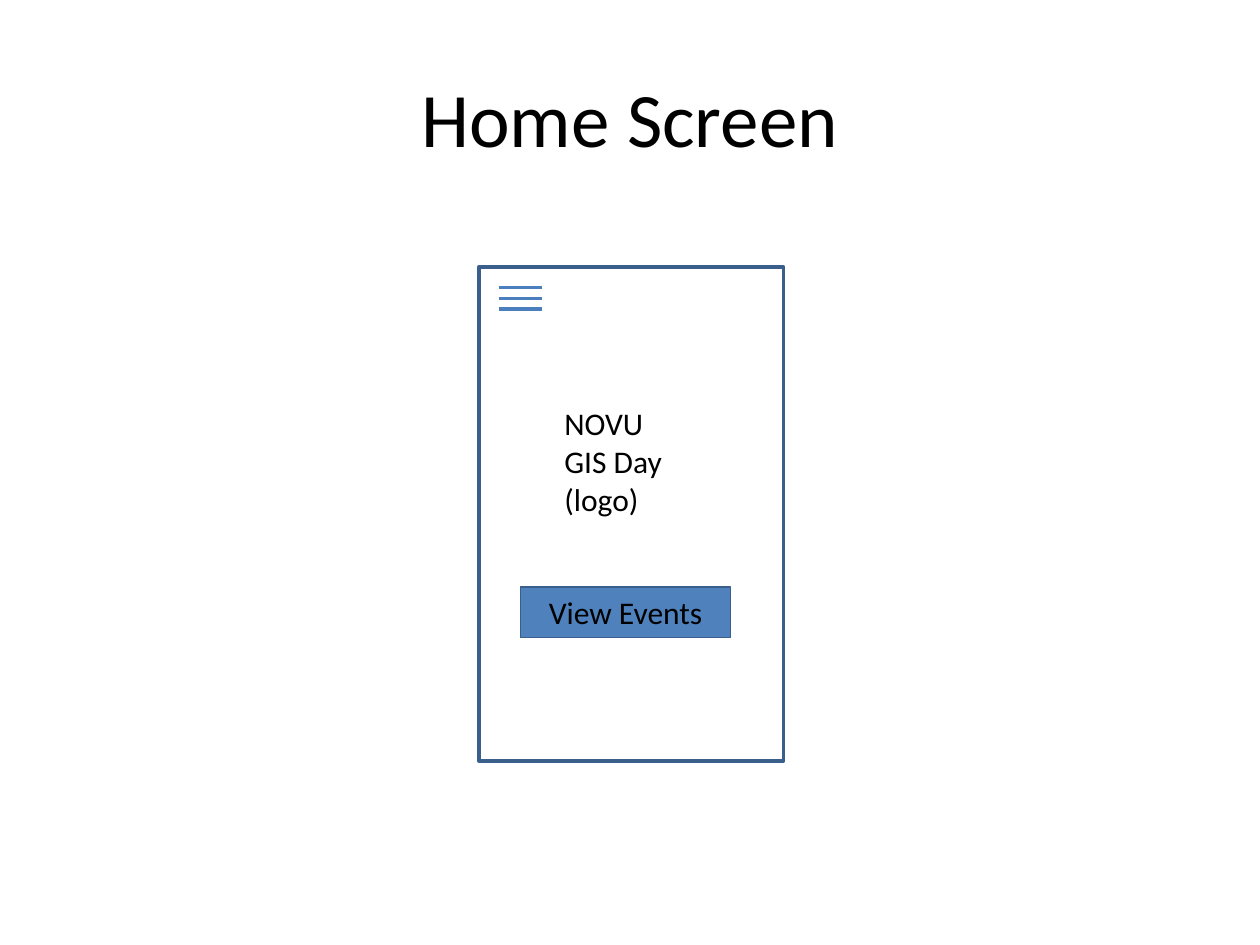
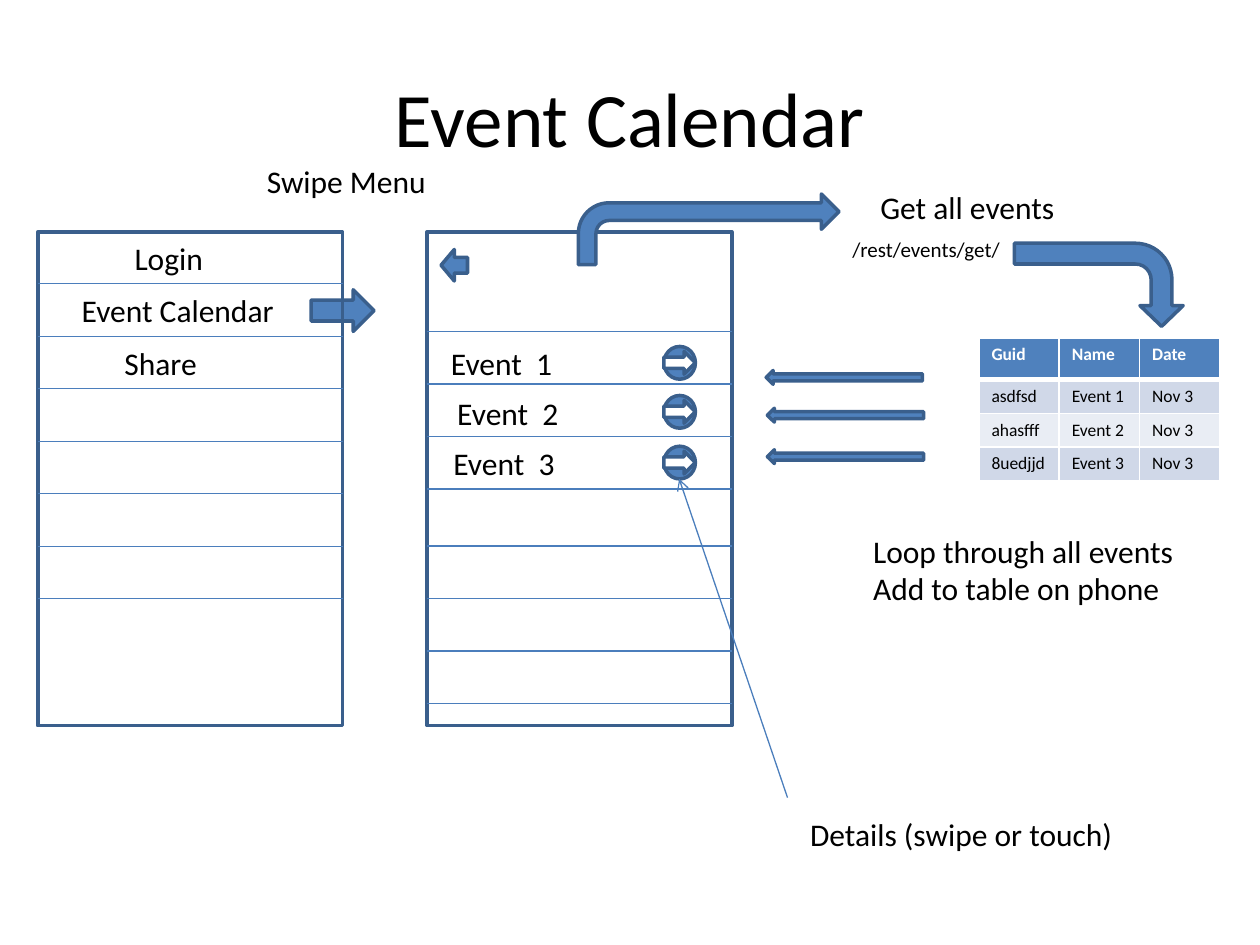
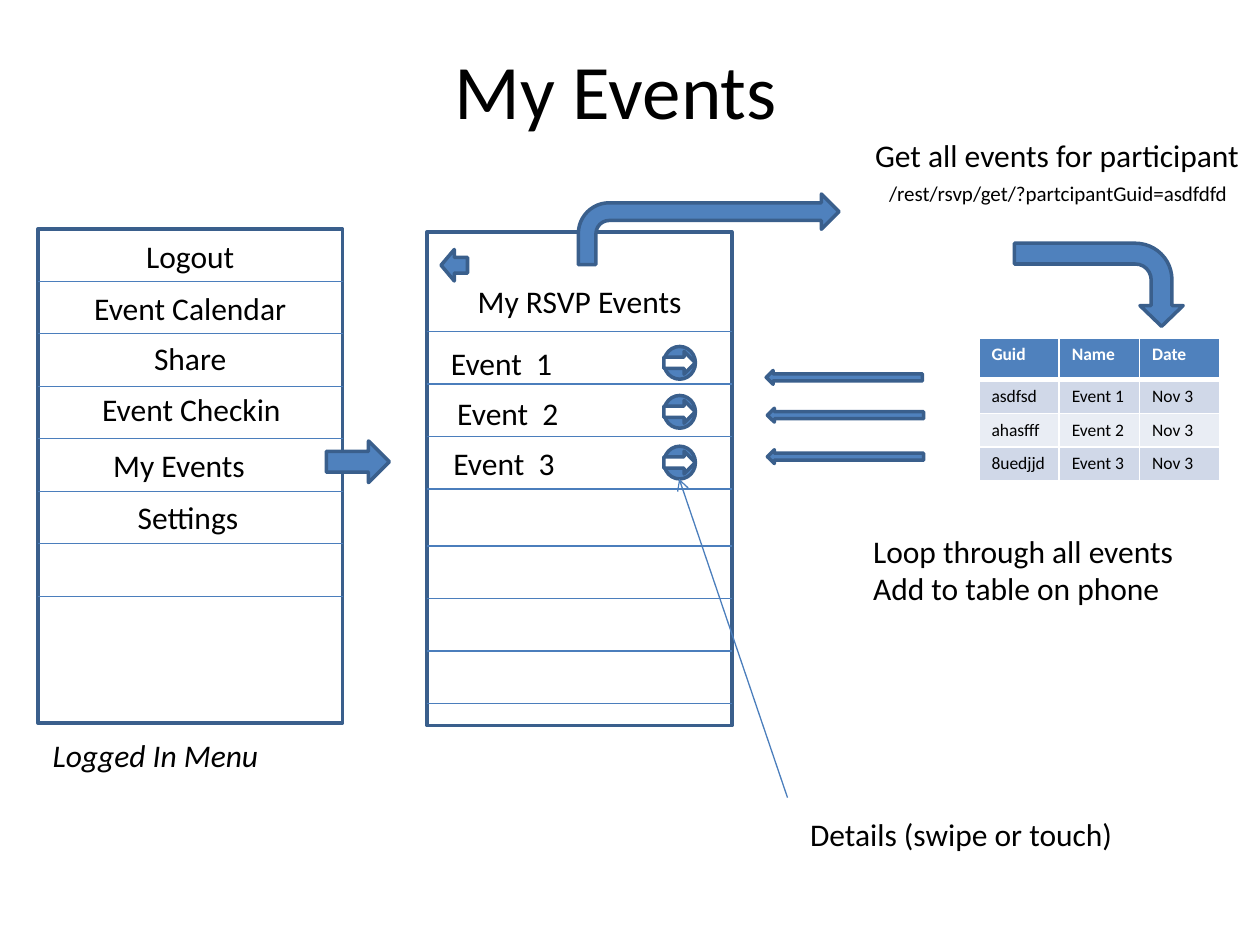
from dataclasses import dataclass

from lxml import etree
from pptx import Presentation
from pptx.dml.color import RGBColor
from pptx.enum import shapes, text
from pptx.oxml import ns
from pptx.util import Pt


@dataclass(frozen=True)
class Theme:
    font: str = "Calibri"
    title: float = 44
    body: float = 18
    address: float = 12
    cell: float = 10
    black: str = "000000"
    white: str = "FFFFFF"
    blue: str = "4F81BD"
    outline: str = "3A5F8C"
    rule: str = "4B7EBC"
    bands: tuple = ("D0D8E8", "E9EDF4")
    thin: float = 0.75
    thick: float = 2


theme = Theme()
preset = shapes.MSO_SHAPE
center = text.PP_ALIGN.CENTER
phone_width, phone_height = 174.2, 282.2
row_height = 30
label_height = 29


def add_shape(slide, kind, box, fill=None, width=theme.thick, rotation=0):
    shape = slide.shapes.add_shape(kind, *map(Pt, box))
    shape.shadow.inherit = False
    shape.rotation = rotation
    if fill:
        shape.fill.solid()
        shape.fill.fore_color.rgb = RGBColor.from_string(fill)
    else:
        shape.fill.background()
    shape.line.color.rgb = RGBColor.from_string(theme.outline)
    shape.line.width = Pt(width)
    return shape


def add_text(slide, words, box, size=theme.body, align=None, wrap=True, italic=None):
    shape = slide.shapes.add_textbox(*map(Pt, box))
    frame = shape.text_frame
    frame.word_wrap = wrap
    frame.text = words
    for paragraph in frame.paragraphs:
        paragraph.alignment = align
        for run in paragraph.runs:
            run.font.name = theme.font
            run.font.size = Pt(size)
            run.font.italic = italic
            run.font.color.rgb = RGBColor.from_string(theme.black)
    return shape


presentation = Presentation()
presentation.slide_width, presentation.slide_height = Pt(720), Pt(540)

# Slides and their titles
slides = []
for words, left, top in [("Home Screen", 36, 21.6), ("Event Calendar", 36, 21.6),
                         ("My Events", 28, 5.8)]:
    slide = presentation.slides.add_slide(presentation.slide_layouts[6])
    title = add_text(slide, words, (left, top, 648, 90), theme.title, center)
    title.text_frame.vertical_anchor = text.MSO_ANCHOR.MIDDLE
    slides.append(slide)
home, calendar, my_events = slides

# Straight lines are gathered here: slide, start, end, width, arrowhead
lines = []

# Home screen: phone, menu icon, logo text and button
add_shape(home, preset.RECTANGLE, (273.6, 152.6, phone_width, phone_height))
for i in range(3):
    y = 164.4 + 6.1 * i
    lines.append((home, (285.1, y), (309.6, y), theme.thick, False))
add_text(home, "NOVU\vGIS Day\n(logo)", (315.4, 227.5, 102.2, 72.7))
add_shape(home, preset.RECTANGLE, (297.4, 335.5, 120.2, label_height),
          theme.blue, theme.thin)
add_text(home, "View Events", (297.4, 335.5, 120.2, label_height), align=center)

# Menu phones
menu_left = 21.6
add_shape(calendar, preset.RIGHT_ARROW, (177.8, 165.6, 36, 23.8), theme.blue)
for slide, top in [(calendar, 132.5), (my_events, 131)]:
    add_shape(slide, preset.RECTANGLE, (menu_left, top, phone_width, phone_height))
    for i in range(7):
        y = top + 29.7 + row_height * i
        lines.append((slide, (menu_left, y), (menu_left + phone_width, y),
                      theme.thin, False))
add_shape(my_events, preset.RIGHT_ARROW, (186.5, 252, 36, 23.8), theme.blue)

# Menu entries: left edge, top, width, alignment
for slide, words, left, top, width, align in [
    (calendar, "Login", 69.8, 133.2, 90, None),
    (calendar, "Event Calendar", 39.6, 162.9, 138, None),
    (calendar, "Share", 64, 193, 90, None),
    (my_events, "Logout", 23, 131.8, 171.4, center),
    (my_events, "Event Calendar", 23, 161.5, 171.4, center),
    (my_events, "Share", 23, 190.1, 171.4, center),
    (my_events, "Event Checkin", 23, 219.2, 172.8, center),
    (my_events, "My Events", 57.6, 251.3, 90, None),
    (my_events, "Settings", 21, 280.8, 172.8, center),
    (my_events, "My RSVP Events", 244.8, 157.7, 172.8, center),
]:
    add_text(slide, words, (left, top, width, label_height), align=align)

# Captions that belong to one slide
for slide, words, left, top, width, size, italic in [
    (calendar, "Swipe Menu", 145.4, 89.3, 106.6, theme.body, None),
    (calendar, "Get all events", 496, 103.7, 115.2, theme.body, None),
    (calendar, "/rest/events/get/", 480, 131.8, 99.4, theme.address, None),
    (my_events, "Get all events for participant", 493, 74.2, 225.4, theme.body, None),
    (my_events, "/rest/rsvp/get/?partcipantGuid=asdfdfd", 501, 99.4, 208.8,
     theme.address, None),
    (my_events, "Logged In Menu", 23, 416.9, 133.2, theme.body, True),
]:
    add_text(slide, words, (left, top, width, label_height), size,
             wrap=False, italic=italic)

# Event list, data flow and table, the same on both event slides
screen_left = 244
records = [("Guid", "Name", "Date"), ("asdfsd", "Event 1", "Nov 3"),
           ("ahasfff", "Event 2", "Nov 3"), ("8uedjjd", "Event 3", "Nov 3")]
for slide in (calendar, my_events):
    # Phone with its rows and back arrow
    add_shape(slide, preset.RECTANGLE, (screen_left, 132.5, phone_width, phone_height))
    for first in (189.5, 312):
        for i in range(4):
            y = first + row_height * i
            lines.append((slide, (screen_left, y), (screen_left + phone_width, y),
                          theme.thin, False))
    add_shape(slide, preset.DOWN_ARROW, (250.6, 144, 18, 15.1), theme.blue, rotation=90)

    # Request to the service and its answer
    add_shape(slide, preset.BENT_ARROW, (330.5, 110.9, 149, 40.3), theme.blue)
    answer = add_shape(slide, preset.BENT_ARROW, (604.1, 114.5, 47.5, 96.5),
                       theme.blue, rotation=90)
    for i, value in enumerate((0.25, 0.26, 0.25, 0.44)):
        answer.adjustments[i] = value

    # Events: label, details button and arrow from the table
    for i, (left, top, button_top, arrow_left, arrow_top) in enumerate([
        (250.6, 193, 198, 437.8, 211.7),
        (254.2, 221.8, 226, 438.5, 233.3),
        (252, 250.2, 255, 438.5, 257),
    ], 1):
        label = add_text(slide, f"Event  {i}", (left, top, 156.2, label_height))
        add_shape(slide, preset.OVAL, (379.4, button_top, 18, 18.7), theme.blue)
        add_shape(slide, preset.RIGHT_ARROW, (379.4, button_top + 2.8, 18, 13),
                  theme.white)
        add_shape(slide, preset.RIGHT_ARROW, (arrow_left, arrow_top, 89.3, 7.9),
                  theme.blue, rotation=180)

    # Table of events
    table = slide.shapes.add_table(4, 3, Pt(559.4), Pt(193), Pt(137.7), Pt(81)).table
    for column in table.columns:
        column.width = Pt(45.9)
    for i, record in enumerate(records):
        table.rows[i].height = Pt(19 if i else 24)
        for j, words in enumerate(record):
            cell = table.cell(i, j)
            cell.text = words
            cell.fill.solid()
            cell.fill.fore_color.rgb = RGBColor.from_string(
                theme.bands[(i - 1) % 2] if i else theme.blue)
            font = cell.text_frame.paragraphs[0].runs[0].font
            font.name, font.size, font.bold = theme.font, Pt(theme.cell), i == 0
            font.color.rgb = RGBColor.from_string(theme.black if i else theme.white)
            properties = cell._tc.get_or_add_tcPr()
            for position, side in enumerate(("lnL", "lnR", "lnT", "lnB")):
                heavy = (i, side) in ((0, "lnB"), (1, "lnT"))
                border = etree.Element(ns.qn(f"a:{side}"), w=str(Pt(3 if heavy else 1)))
                solid = etree.SubElement(border, ns.qn("a:solidFill"))
                etree.SubElement(solid, ns.qn("a:srgbClr"), val=theme.white)
                properties.insert(position, border)

    # Notes beside the phone
    add_text(slide, "Loop through all events\nAdd to table on phone",
             (491.8, 300.2, 187.9, 51), wrap=False)
    add_text(slide, "Details (swipe or touch)", (455.8, 462.2, 189.4, label_height),
             wrap=False)
    lines.append((slide, (450, 455.8), (388.1, 273.6), theme.thin, True))

# Draw the lines
for slide, start, end, width, arrowhead in lines:
    connector = slide.shapes.add_connector(shapes.MSO_CONNECTOR.STRAIGHT,
                                           *map(Pt, start + end))
    connector.line.color.rgb = RGBColor.from_string(theme.rule)
    connector.line.width = Pt(width)
    if arrowhead:
        etree.SubElement(connector.line._get_or_add_ln(), ns.qn("a:tailEnd"), type="arrow")
    etree.SubElement(connector._element.spPr, ns.qn("a:effectLst"))

presentation.save("out.pptx")
